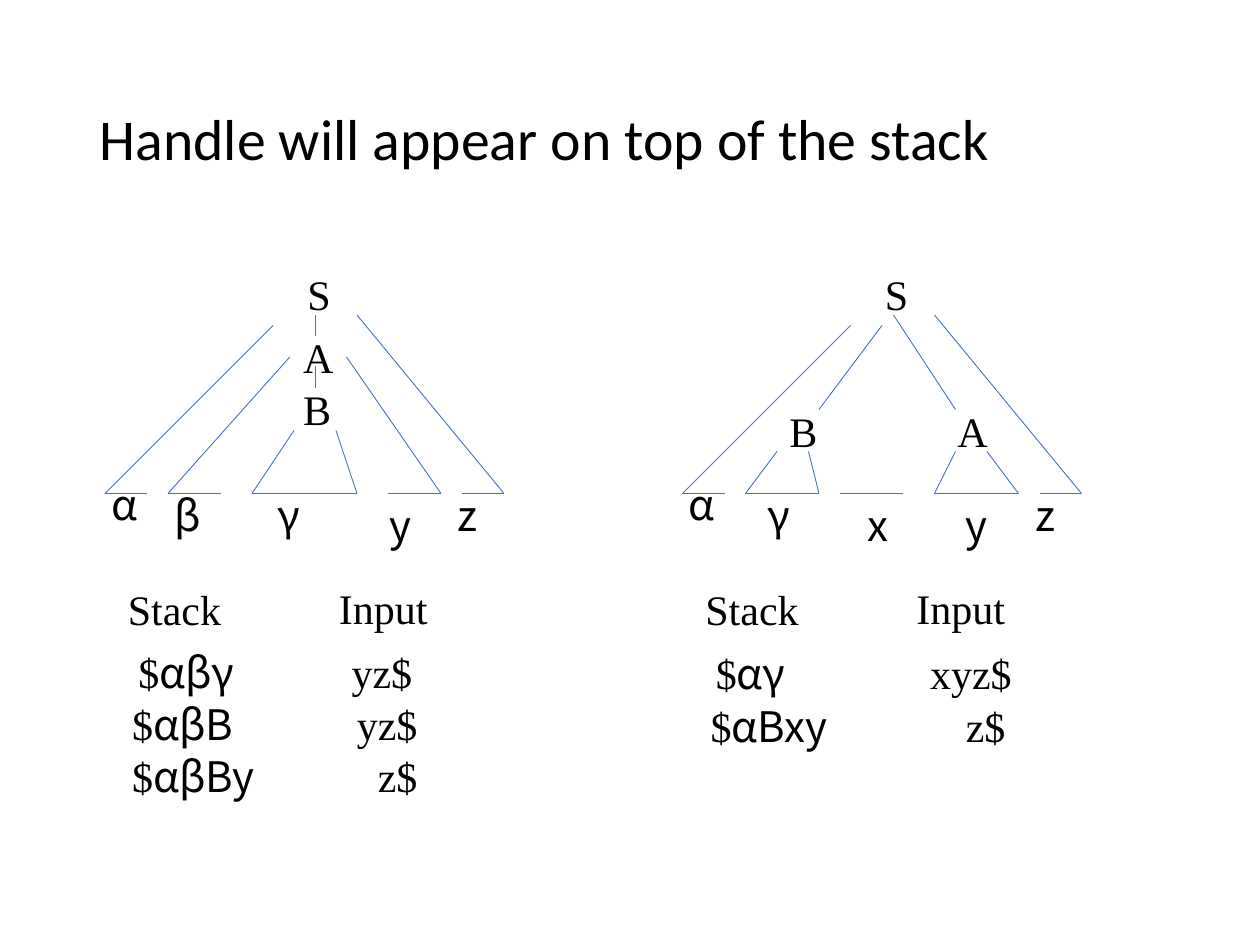
from typing import NamedTuple

from lxml import etree
from pptx import Presentation
from pptx.dml.color import RGBColor
from pptx.enum.shapes import MSO_CONNECTOR
from pptx.enum.text import MSO_ANCHOR, MSO_AUTO_SIZE, PP_ALIGN
from pptx.oxml.ns import qn
from pptx.util import Pt

STRAIGHT = MSO_CONNECTOR.STRAIGHT
MIDDLE = MSO_ANCHOR.MIDDLE
FIT_SHAPE = MSO_AUTO_SIZE.SHAPE_TO_FIT_TEXT
NO_FIT = MSO_AUTO_SIZE.NONE
LEFT = PP_ALIGN.LEFT

BLACK = RGBColor(0x00, 0x00, 0x00)
BLUE = RGBColor(0x44, 0x72, 0xC4)
TITLE_FONT = "Calibri"
SERIF = "Times New Roman"
GREEK = "Noto Sans CJK JP"

EMU_PER_PX = 7620
BASE_Y = 470
LABEL_H = 60
SYMBOL_W = 48
STACK_W = 166
TREE_OFFSET = 550


class Edge(NamedTuple):
    x1: int
    y1: int
    x2: int
    y2: int = BASE_Y


class Label(NamedTuple):
    text: str
    x: int
    y: int
    w: int
    font: str = SERIF
    wrap: bool = False


class Tree(NamedTuple):
    left: int
    edges: list[Edge]
    labels: list[Label]


def px(n: int) -> int:
    return n * EMU_PER_PX


def base(x1: int, x2: int) -> Edge:
    return Edge(x1, BASE_Y, x2)


def symbol(text: str, x: int, y: int) -> Label:
    return Label(text, x, y, SYMBOL_W, GREEK)


def stack(text: str, x: int, y: int) -> Label:
    return Label(text, x, y, STACK_W, GREEK, True)


SHARED_EDGES = [
    Edge(260, 310, 100), base(100, 140),
    Edge(340, 300, 480), base(480, 440),
]
SHARED_LABELS = [
    Label("S", 281, 250, 46),
    symbol("α", 94, 450), symbol("z", 424, 460),
    Label("Stack", 110, 550, 116), Label("Input", 311, 549, 114),
]

TREES = [
    Tree(
        0,
        [
            Edge(276, 340, 160), base(160, 210),
            Edge(280, 410, 240), base(240, 340), Edge(320, 410, 340),
            Edge(330, 340, 420), base(420, 370),
            Edge(300, 300, 300, 320), Edge(300, 349, 300, 370),
        ],
        [
            Label("A", 277, 310, 53), Label("B", 277, 359, 50),
            symbol("β", 154, 460), symbol("γ", 253, 460), symbol("y", 359, 470),
            stack("$αβγ", 120, 610), Label("yz$", 323, 610, 86),
            stack("$αβB", 114, 659), Label("yz$", 328, 659, 86),
            stack("$αβBy", 114, 709), Label("z$", 348, 709, 66),
        ],
    ),
    Tree(
        TREE_OFFSET,
        [
            Edge(290, 310, 230, 390), Edge(301, 300, 360, 390),
            Edge(190, 430, 160), base(160, 230), Edge(220, 430, 230),
            base(250, 310),
            Edge(360, 430, 340), base(420, 340), Edge(390, 430, 420),
        ],
        [
            Label("B", 190, 380, 50), Label("A", 350, 380, 53),
            symbol("γ", 169, 460), symbol("x", 264, 470), symbol("y", 358, 470),
            stack("$αγ", 120, 611), Label("xyz$", 324, 611, 106),
            stack("$αBxy", 115, 661), Label("z$", 358, 661, 66),
        ],
    ),
]


def format_run(r, font: str, size: int) -> None:
    r.font.name = font
    r.font.size = Pt(size)
    r.font.color.rgb = BLACK


def set_title(slide, text: str) -> None:
    sp = slide.shapes.title
    sp.left, sp.top, sp.width, sp.height = px(83), px(48), px(1036), px(174)
    tf = sp.text_frame
    tf.text = text
    tf.vertical_anchor = MIDDLE
    tf.auto_size = NO_FIT
    p = tf.paragraphs[0]
    p.alignment = LEFT
    p.line_spacing = 0.9
    format_run(p.runs[0], TITLE_FONT, 33)


def draw_edge(slide, edge: Edge, left: int) -> None:
    cxn = slide.shapes.add_connector(
        STRAIGHT, px(left + edge.x1), px(edge.y1), px(left + edge.x2), px(edge.y2)
    )
    cxn.line.color.rgb = BLUE
    cxn.line.width = Pt(0.5)
    etree.SubElement(cxn._element.spPr, qn("a:effectLst"))


def draw_label(slide, label: Label, left: int) -> None:
    sp = slide.shapes.add_textbox(
        px(left + label.x), px(label.y), px(label.w), px(LABEL_H)
    )
    tf = sp.text_frame
    tf.word_wrap = label.wrap
    tf.auto_size = FIT_SHAPE if label.wrap else NO_FIT
    p = tf.paragraphs[0]
    p.alignment = LEFT
    parts = ["$", label.text[1:]] if label.wrap else [label.text]
    for part in parts:
        r = p.add_run()
        r.text = part
        format_run(r, SERIF if part == "$" else label.font, 24)


def draw_tree(slide, tree: Tree) -> None:
    for edge in SHARED_EDGES + tree.edges:
        draw_edge(slide, edge, tree.left)
    for label in SHARED_LABELS + tree.labels:
        draw_label(slide, label, tree.left)


def main() -> None:
    prs = Presentation()
    prs.slide_width, prs.slide_height = px(1200), px(900)
    slide = prs.slides.add_slide(prs.slide_layouts[5])
    set_title(slide, "Handle will appear on top of the stack")
    for tree in TREES:
        draw_tree(slide, tree)
    prs.save("out.pptx")


if __name__ == "__main__":
    main()
